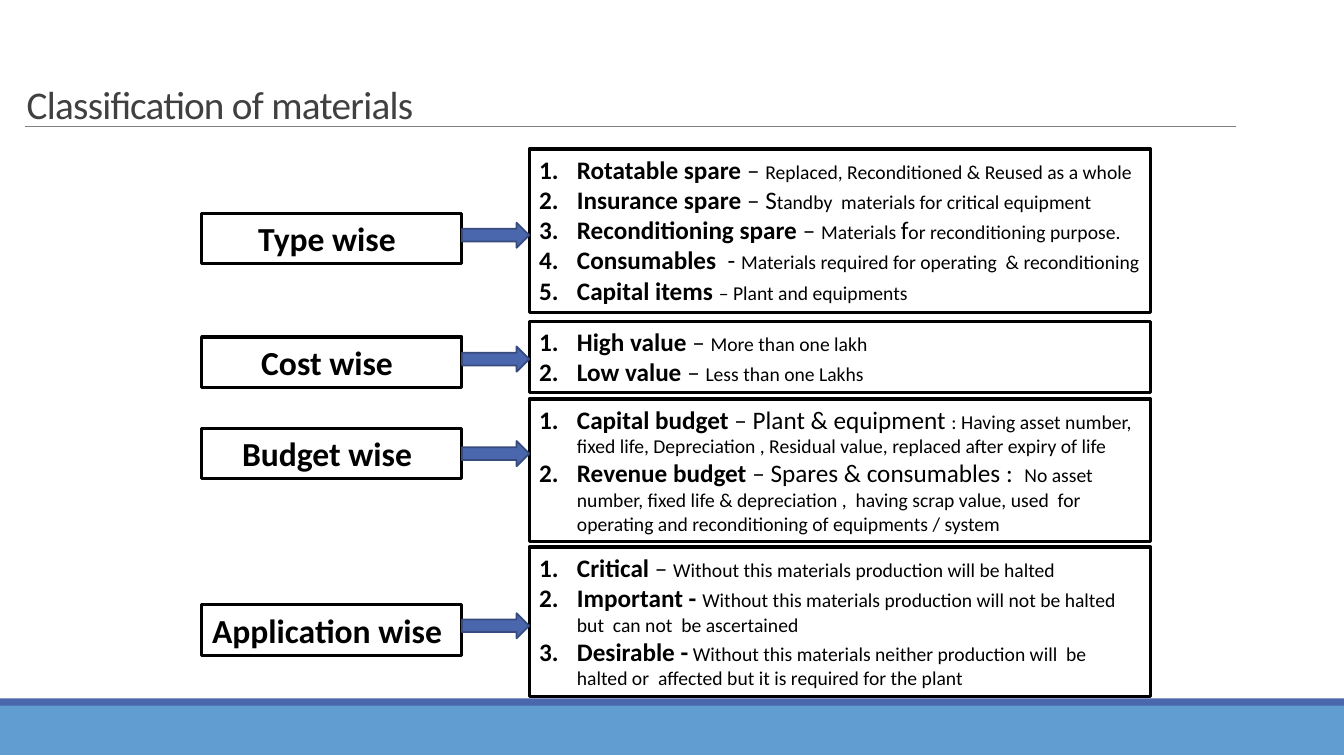
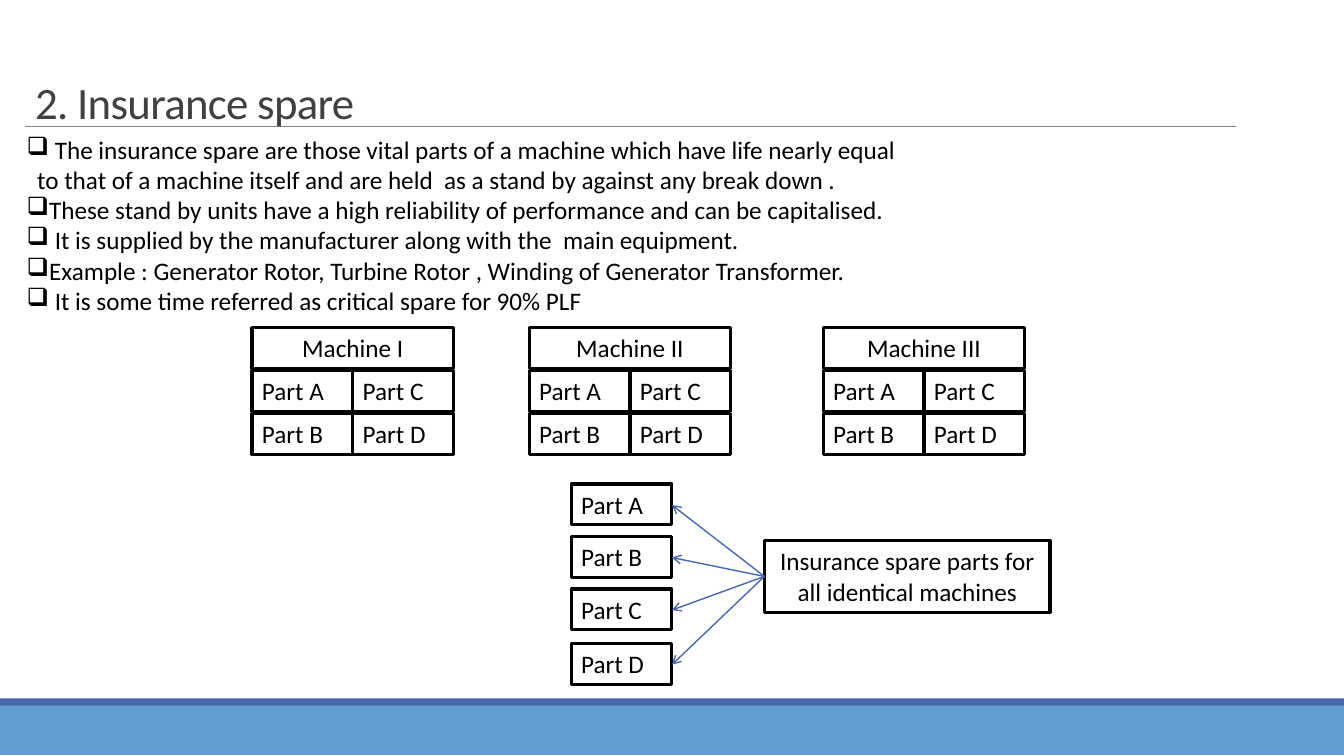
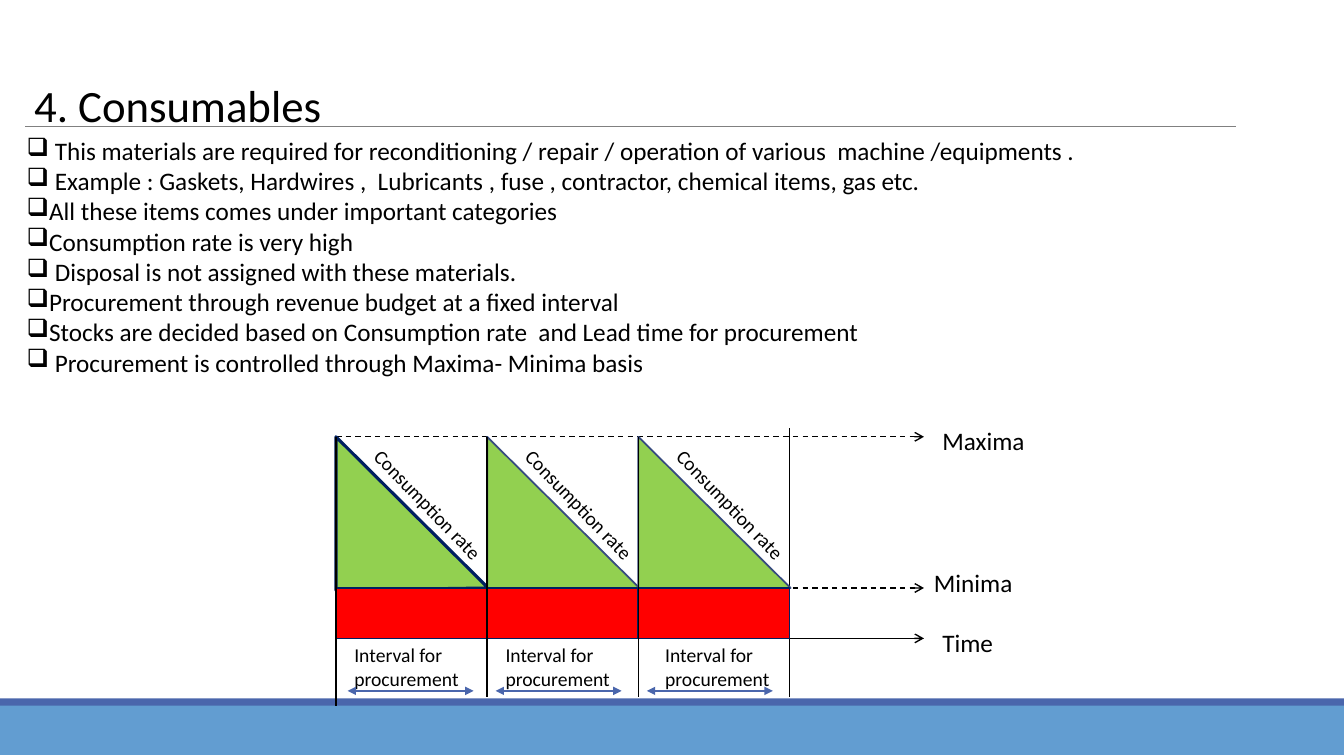
from lxml.etree import SubElement
from pptx import Presentation
from pptx.dml.color import RGBColor
from pptx.enum.dml import MSO_LINE
from pptx.enum.shapes import MSO_CONNECTOR, MSO_SHAPE as SHAPE
from pptx.enum.text import MSO_ANCHOR as ANCHOR, PP_ALIGN as ALIGN
from pptx.oxml.ns import qn
from pptx.util import Pt

EMU_PER_PX = 9525
FONT = "Calibri"
BLACK = RGBColor(0x00, 0x00, 0x00)
TITLE_GRAY = RGBColor(0x40, 0x40, 0x40)
RULE_GRAY = RGBColor(0x80, 0x80, 0x80)
BAND_BLUE = RGBColor(0x62, 0x9D, 0xD1)
ACCENT_BLUE = RGBColor(0x4A, 0x66, 0xAC)
DARK_BLUE = RGBColor(0x37, 0x4B, 0x7F)
NAVY = RGBColor(0x00, 0x20, 0x60)
GREEN = RGBColor(0x92, 0xD0, 0x50)
RED = RGBColor(0xFF, 0x00, 0x00)


def px(value):
    return value * EMU_PER_PX


def paint(shape, fill, line=None, width=1.25):
    shape.shadow.inherit = False
    shape.fill.solid()
    shape.fill.fore_color.rgb = fill
    if line is None:
        shape.line.fill.background()
    else:
        shape.line.color.rgb = line
        shape.line.width = Pt(width)


def add_block(slide, kind, box, fill, line=None):
    shape = slide.shapes.add_shape(kind, *map(px, box))
    paint(shape, fill, line)


def add_line(slide, start, end, color=BLACK, width=1, head=None, tail=None, dashed=False):
    """Draw a line; head is the arrowhead at its start, tail the one at its end."""
    connector = slide.shapes.add_connector(MSO_CONNECTOR.STRAIGHT, *map(px, start + end))
    connector.line.color.rgb = color
    connector.line.width = Pt(width)
    if dashed:
        connector.line.dash_style = MSO_LINE.DASH
    properties = connector.element.spPr
    outline = properties.find(qn("a:ln"))
    for tag, arrow in (("a:headEnd", head), ("a:tailEnd", tail)):
        if arrow:
            SubElement(outline, qn(tag), type=arrow)
    SubElement(properties, qn("a:effectLst"))


def add_run(paragraph, text, size, bold=False, color=BLACK):
    run = paragraph.add_run()
    run.text = text
    run.font.name = FONT
    run.font.size = Pt(size)
    run.font.bold = bold
    run.font.color.rgb = color
    return run


def add_frame(slide, box, bordered=False):
    """Add an empty wrapping text box, with a black border if asked for."""
    shape = slide.shapes.add_textbox(*map(px, box))
    shape.text_frame.word_wrap = True
    if bordered:
        shape.line.color.rgb = BLACK
        shape.line.width = Pt(2.25)
    return shape


def add_label(slide, box, text, size=18, bold=False, align=ALIGN.LEFT, bordered=False):
    shape = add_frame(slide, box, bordered)
    paragraph = shape.text_frame.paragraphs[0]
    paragraph.alignment = align
    add_run(paragraph, text, size, bold)
    return shape


def add_list(slide, box, items, bullet, attributes, hanging=0, bordered=False):
    """Add a list whose items are lists of (text, size, bold) runs."""
    frame = add_frame(slide, box, bordered).text_frame
    for index, runs in enumerate(items):
        paragraph = frame.add_paragraph() if index else frame.paragraphs[0]
        properties = paragraph._p.get_or_add_pPr()
        properties.set("marL", str(px(hanging)))
        properties.set("indent", str(-px(hanging)))
        SubElement(properties, qn(bullet), **attributes)
        for text, size, bold in runs:
            add_run(paragraph, text, size, bold)


def add_numbered(slide, box, items):
    add_list(slide, box, items, "a:buAutoNum", {"type": "arabicPeriod"}, 36, True)


def add_checklist(slide, box, lines):
    """Add box bullets; a wrapped line starts slightly inside the bullet."""
    items = [[(line, 18, False)] for line in lines]
    add_list(slide, box, items, "a:buChar", {"char": "❑"}, 10)


def add_base(presentation):
    """Add a slide with the footer bands and the rule below the title."""
    slide = presentation.slides.add_slide(presentation.slide_layouts[6])
    add_block(slide, SHAPE.RECTANGLE, (0, 671, 1280, 48), BAND_BLUE)
    add_block(slide, SHAPE.RECTANGLE, (0, 665, 1280, 7), ACCENT_BLUE)
    add_line(slide, (24, 120), (1177, 120), RULE_GRAY, 0.5)
    return slide


def add_title(slide, box, text, size=32, color=TITLE_GRAY, anchor=ANCHOR.BOTTOM, tight=True):
    frame = add_frame(slide, box).text_frame
    frame.vertical_anchor = anchor
    paragraph = frame.paragraphs[0]
    run = add_run(paragraph, text, size, color=color)
    if tight:
        paragraph.line_spacing = 0.85
        run.font._element.set("spc", "-50")


def entry(term, *details):
    """Runs of a numbered item: a bold term, then (text, size) details."""
    return [(term, 18, True)] + [(text, size, False) for text, size in details]


def build_classification(presentation):
    slide = add_base(presentation)
    add_title(slide, (16, 83, 864, 43), "Classification of materials", 28)
    # label, label top, arrow top, list top, list height, items
    groups = (
        ("Type wise", 203, 212, 142, 156, [
            entry("Rotatable spare ", ("– ", 18),
                  ("Replaced, Reconditioned & Reused as a whole", 14)),
            entry("Insurance spare ", ("– S", 18),
                  ("tandby  materials for critical equipment", 14)),
            entry("Reconditioning spare ", ("– ", 18), ("Materials ", 14), ("f", 18),
                  ("or reconditioning purpose.", 14)),
            entry("Consumables", ("  - ", 18),
                  ("Materials required for operating  & reconditioning", 14)),
            entry("Capital items ", ("– Plant and equipments", 14)),
        ]),
        ("Cost wise", 321, 330, 306, 68, [
            entry("High value ", ("– ", 18), ("More than one lakh", 14)),
            entry("Low value ", ("– ", 18), ("Less than one Lakhs", 14)),
        ]),
        ("Budget wise", 408, 420, 380, 136, [
            entry("Capital budget ", ("– Plant & equipment ", 18),
                  (": Having asset number, fixed life, Depreciation , Residual value, "
                   "replaced after expiry of life", 14)),
            entry("Revenue budget ", ("– Spares & consumables :  ", 18),
                  ("No asset number, fixed life & depreciation ,  having scrap value, "
                   "used  for operating and reconditioning of equipments / system", 14)),
        ]),
        ("Application wise", 576, 584, 521, 142, [
            entry("Critical ", ("– ", 18),
                  ("Without this materials production will be halted", 14)),
            entry("Important - ",
                  ("Without this materials production will not be halted "
                   "but  can not  be ascertained", 14)),
            entry("Desirable -",
                  (" Without this materials neither production will  be halted or  "
                   "affected but it is required for the plant", 14)),
        ]),
    )
    for name, label_top, arrow_top, list_top, list_height, items in groups:
        label = add_label(slide, (192, label_top, 248, 48), name, 24, True, ALIGN.CENTER, True)
        label.text_frame.margin_left = px(5)
        label.text_frame.margin_right = px(14)
        add_numbered(slide, (504, list_top, 592, list_height), items)
        add_block(slide, SHAPE.RIGHT_ARROW, (440, arrow_top, 64, 24), ACCENT_BLUE, DARK_BLUE)


def add_part(slide, left, top, letter):
    add_label(slide, (left, top, 96, 39), f"Part {letter}", bordered=True)


def add_machine(slide, left, number):
    top, row_step = 312, 41
    add_label(slide, (left, top, 192, 39), f"Machine {number}", align=ALIGN.CENTER, bordered=True)
    for index, letter in enumerate("ABCD"):
        column, row = divmod(index, 2)
        add_part(slide, left + 96 * column, top + row_step * (row + 1), letter)


def build_insurance_spare(presentation):
    slide = add_base(presentation)
    add_title(slide, (24, 60, 864, 67), "2. Insurance spare")
    add_checklist(slide, (16, 123, 860, 184), (
        " The insurance spare are those vital parts of a machine which have life nearly equal "
        "to that of a machine itself and are held  as a stand by against any break down .",
        "These stand by units have a high reliability of performance and can be capitalised.",
        " It is supplied by the manufacturer along with the  main equipment.",
        "Example : Generator Rotor, Turbine Rotor , Winding of Generator Transformer.",
        " It is some time referred as critical spare for 90% PLF",
    ))
    for left, number in ((240, "I"), (504, "II"), (784, "III")):
        add_machine(slide, left, number)
    add_label(slide, (728, 515, 272, 68), "Insurance spare parts for all identical machines",
              align=ALIGN.CENTER, bordered=True)
    for letter, top in zip("ABCD", (461, 511, 561, 613)):
        add_part(slide, 544, top, letter)
        add_line(slide, (728, 549), (640, top + 20), ACCENT_BLUE, tail="arrow")


def add_cycle(slide, left, text_left, arrow_left, outline, outline_width, line_bottom):
    """Draw one procurement interval: falling stock above the reserve."""
    builder = slide.shapes.build_freeform(left, 562, scale=EMU_PER_PX)
    builder.add_line_segments([(left, 416), (left + 145, 560)], close=True)
    paint(builder.convert_to_shape(), GREEN, outline, outline_width)
    add_block(slide, SHAPE.FLOWCHART_PROCESS, (left, 560, 144, 48), RED, NAVY)
    add_line(slide, (left, 416), (left, line_bottom))
    add_label(slide, (text_left, 608, 120, 55), "Interval for procurement", 14)
    add_line(slide, (arrow_left, 658), (arrow_left + 120, 658), ACCENT_BLUE,
             head="triangle", tail="triangle")
    rate = add_label(slide, (left + 1, 462, 168, 33), "Consumption rate", 14)
    rate.text_frame.margin_left = px(19)
    rate.rotation = 46


def build_consumables(presentation):
    slide = add_base(presentation)
    add_title(slide, (23, 74, 880, 51), "4. Consumables", color=BLACK,
              anchor=ANCHOR.MIDDLE, tight=False)
    add_checklist(slide, (16, 124, 1088, 242), (
        " This materials are required for reconditioning / repair / operation of various  "
        "machine /equipments .",
        " Example : Gaskets, Hardwires ,  Lubricants , fuse , contractor, chemical items, gas etc.",
        "All these items comes under important categories",
        "Consumption rate is very high",
        " Disposal is not assigned with these materials.",
        "Procurement through revenue budget at a fixed interval",
        "Stocks are decided based on Consumption rate  and Lead time for procurement",
        " Procurement is controlled through Maxima- Minima basis",
    ))
    levels = (
        ("Maxima", 416, True, (888, 400, 152, 40)),
        ("Minima", 560, True, (880, 536, 112, 40)),
        ("Time", 608, False, (888, 593, 112, 38)),
    )
    for name, level, dashed, box in levels:
        add_line(slide, (320, level), (880, level), tail="arrow", dashed=dashed)
        add_label(slide, box, name)
    add_line(slide, (752, 664), (752, 408))
    add_cycle(slide, 320, 328, 331, NAVY, 2.25, 672)
    add_cycle(slide, 464, 472, 472, DARK_BLUE, 1.25, 664)
    add_cycle(slide, 608, 624, 616, DARK_BLUE, 1.25, 664)


def main():
    presentation = Presentation()
    presentation.slide_width = px(1280)
    presentation.slide_height = px(720)
    build_classification(presentation)
    build_insurance_spare(presentation)
    build_consumables(presentation)
    presentation.save("out.pptx")


if __name__ == "__main__":
    main()
